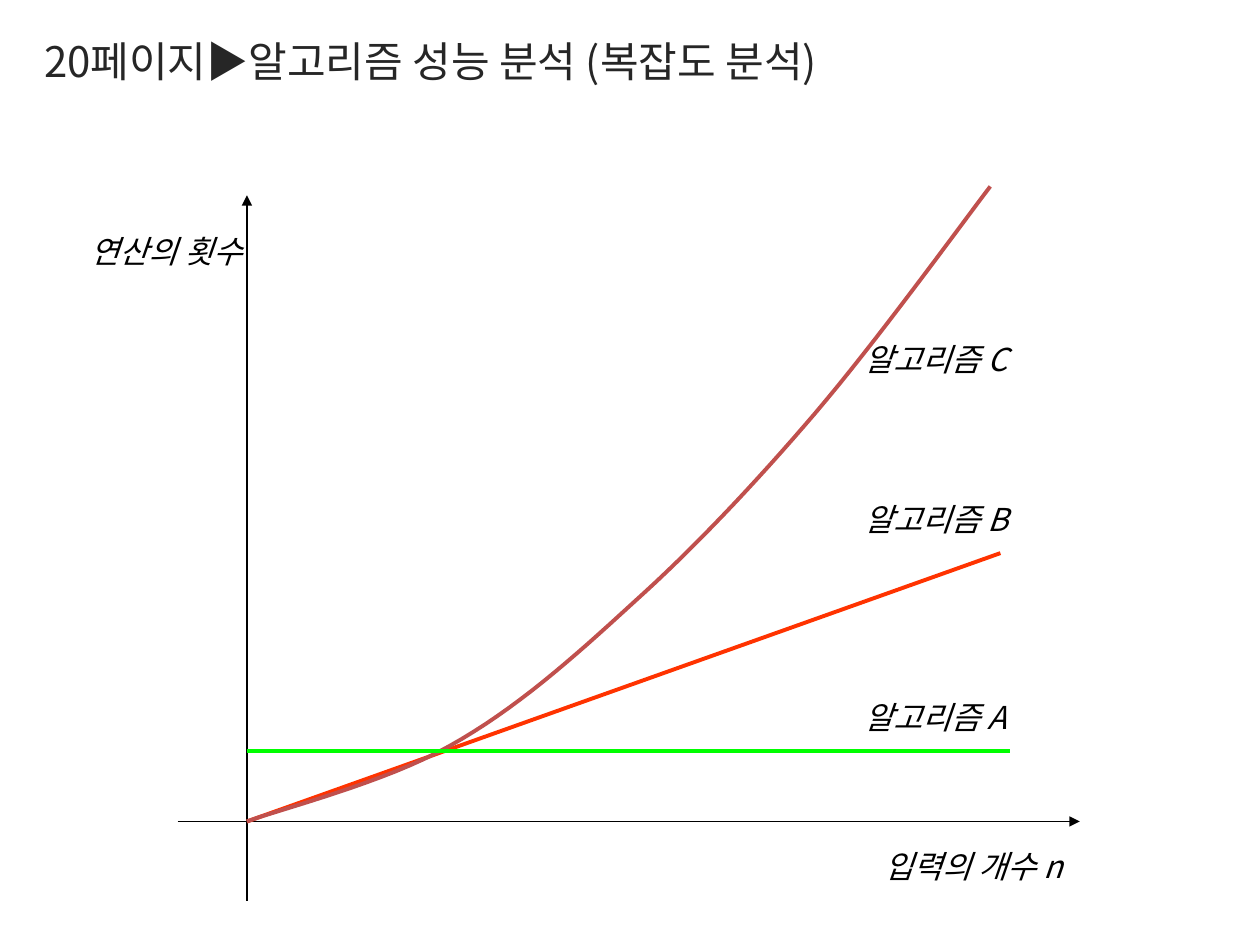
from lxml.etree import SubElement
from pptx import Presentation
from pptx.dml.color import RGBColor
from pptx.enum.shapes import MSO_CONNECTOR
from pptx.enum.text import MSO_ANCHOR, MSO_AUTO_SIZE
from pptx.oxml.ns import qn
from pptx.util import Inches, Pt

FONT = "Noto Sans CJK KR"
STEPS = 16
CURVE = [
    (0, 0), (0.27, -0.1), (1.1, -0.31), (1.61, -0.6),
    (2.13, -0.89), (2.58, -1.29), (3.06, -1.73),
    (3.55, -2.17), (4.04, -2.69), (4.51, -3.24),
    (4.98, -3.79), (5.62, -4.67), (5.9, -5.04),
]


def color(code):
    return RGBColor.from_string(code)


def add_text(slide, box, words, size, code, italic=False):
    shape = slide.shapes.add_textbox(*map(Inches, box))
    frame = shape.text_frame
    frame.vertical_anchor = MSO_ANCHOR.TOP
    frame.word_wrap = False
    para = frame.paragraphs[0]
    run = para.add_run()
    run.text = words
    font = run.font
    font.name, font.size, font.italic = FONT, Pt(size), italic
    font.color.rgb = color(code)
    SubElement(font._element, qn("a:ea"), typeface=FONT)
    return frame


def add_line(slide, start, end, code, width, arrow=False):
    line = slide.shapes.add_connector(
        MSO_CONNECTOR.STRAIGHT, *map(Inches, (*start, *end)))
    line.line.color.rgb = color(code)
    line.line.width = Pt(width)
    if arrow:
        SubElement(line.line._get_or_add_ln(), qn("a:tailEnd"), type="triangle")
    SubElement(line._element.spPr, qn("a:effectLst"))


def bend(knots):
    for i in range(0, len(knots) - 1, 3):
        a, b, c, d = knots[i:i + 4]
        for step in range(1, STEPS + 1):
            t = step / STEPS
            u = 1 - t
            yield tuple(
                u**3 * p + 3 * u * u * t * q + 3 * u * t * t * r + t**3 * s
                for p, q, r, s in zip(a, b, c, d))


def add_curve(slide, knots, code, width):
    points = [(Inches(x), Inches(y)) for x, y in bend(knots)]
    start = map(Inches, knots[0])
    path = slide.shapes.build_freeform(*start)
    path.add_line_segments(points, close=False)
    shape = path.convert_to_shape()
    shape.shadow.inherit = False
    shape.fill.background()
    shape.line.color.rgb = color(code)
    shape.line.width = Pt(width)


def add_title(slide, box):
    frame = add_text(slide, box, "20페이지▶알고리즘 성능 분석 (복잡도 분석)", 24, "262626")
    frame.word_wrap = True
    frame.margin_left, frame.margin_top = Inches(0.35), Inches(0.28)
    frame.margin_right = frame.margin_bottom = 0


def add_graph(slide, left, base):
    def at(x, y):
        return left + x, base + y

    def label(x, y, width, words):
        frame = add_text(slide, (*at(x, y), width, 0.4), words, 18, "000000", True)
        frame.auto_size = MSO_AUTO_SIZE.SHAPE_TO_FIT_TEXT

    add_line(slide, at(0, 0.63), at(0, -4.97), "000000", 0.75, True)
    add_line(slide, at(-0.55, 0), at(6.61, 0), "000000", 0.75, True)
    label(4.96, 0.15, 1.77, "입력의 개수 n")
    label(-1.34, -4.73, 1.53, "연산의 횟수")
    add_line(slide, at(0, 0), at(5.98, -2.13), "FF3300", 2.25)
    add_curve(slide, [at(*knot) for knot in CURVE], "C0504D", 2.25)
    add_line(slide, at(0, -0.56), at(6.06, -0.56), "00FF00", 2.25)
    for name, y in (("A", -1.03), ("B", -2.6), ("C", -3.87)):
        label(4.8, y, 1.45, f"알고리즘 {name}")


def main():
    deck = Presentation()
    deck.slide_width, deck.slide_height = Inches(10), Inches(7.5)
    slide = deck.slides.add_slide(deck.slide_layouts[6])
    add_title(slide, (0, 0, 8.43, 0.91))
    add_graph(slide, 1.96, 6.52)
    deck.save("out.pptx")


if __name__ == "__main__":
    main()
